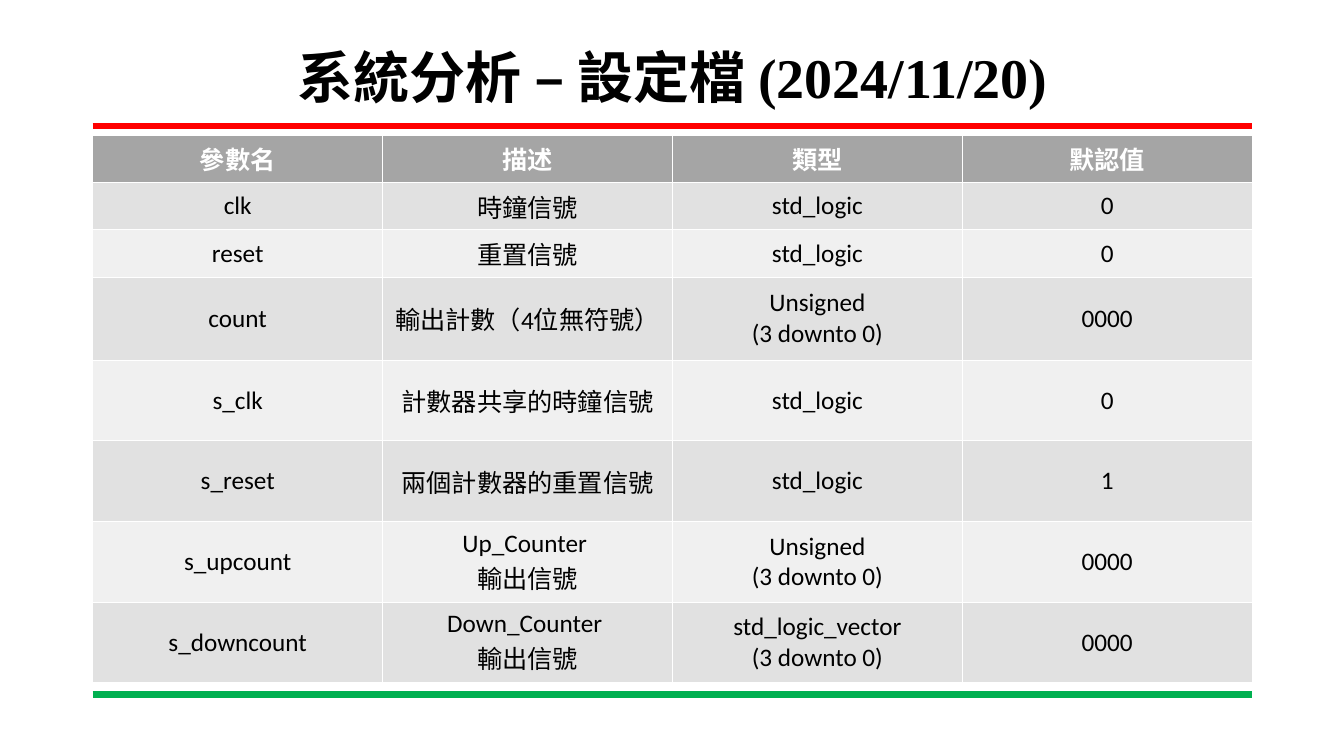
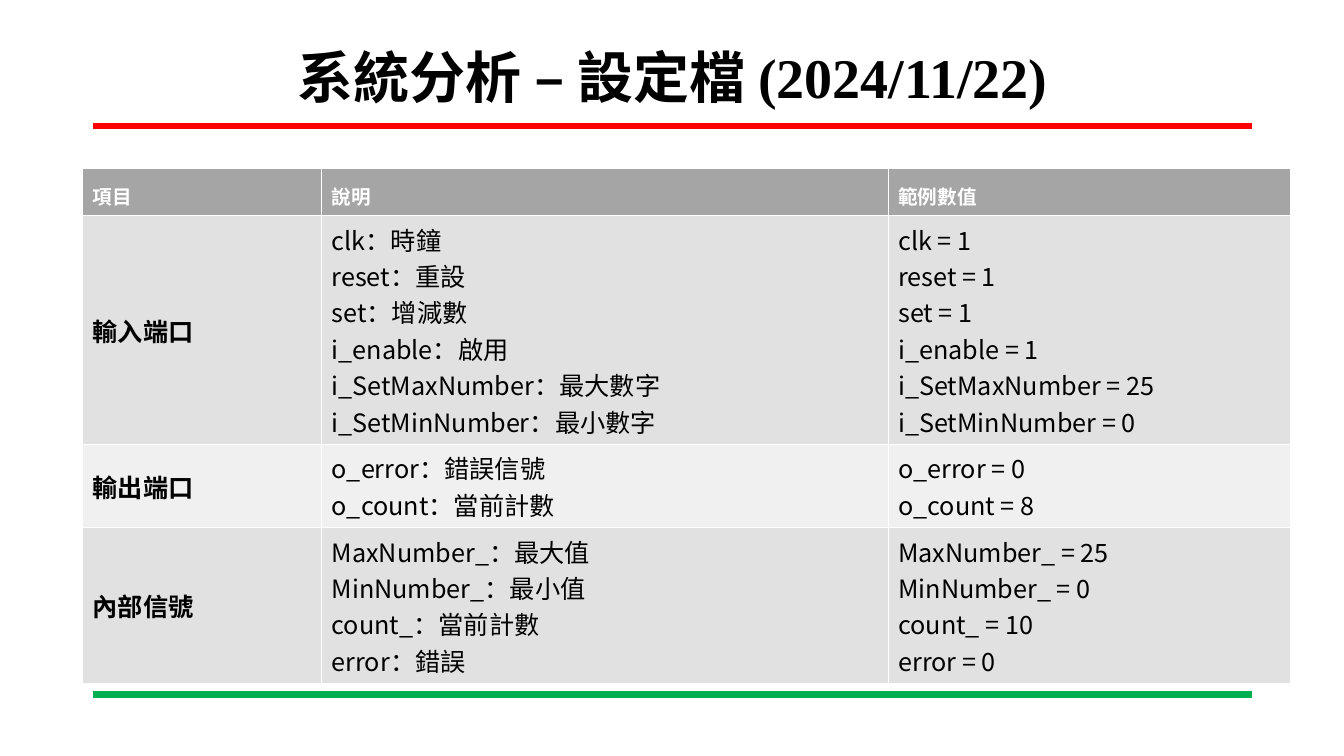
from dataclasses import dataclass

from lxml import etree
from pptx import Presentation
from pptx.dml.color import RGBColor
from pptx.enum.shapes import MSO_CONNECTOR
from pptx.enum.text import MSO_ANCHOR, MSO_AUTO_SIZE, PP_ALIGN
from pptx.oxml.ns import qn
from pptx.util import Inches, Pt

STRAIGHT = MSO_CONNECTOR.STRAIGHT
MIDDLE, BOTTOM = MSO_ANCHOR.MIDDLE, MSO_ANCHOR.BOTTOM
LEFT, CENTER = PP_ALIGN.LEFT, PP_ALIGN.CENTER
TITLE_ONLY = 5


@dataclass(frozen=True)
class Theme:
    black: str = "000000"
    white: str = "FFFFFF"
    top_rule: str = "FF0000"
    bottom_rule: str = "00B050"
    header: str = "A5A5A5"
    bands: tuple = ("E1E1E1", "F0F0F0")
    title_font: str = "Times New Roman"
    latin_font: str = "Calibri"
    cjk_font: str = "Noto Sans CJK SC"
    title_size: int = 40
    body_size: int = 18
    small_size: int = 14
    rule_width: float = 4.5


THEME = Theme()
MARGIN, CONTENT_W = 0.92, 11.5
RULES = [(1.25, THEME.top_rule), (6.89, THEME.bottom_rule)]

# In cell text, "\n" starts a paragraph and "\v" breaks a line.
PARAMETERS = [
    ("參數名", "描述", "類型", "默認值"),
    ("clk", "時鐘信號", "std_logic", "0"),
    ("reset", "重置信號", "std_logic", "0"),
    ("count", "輸出計數（4位無符號）", "Unsigned\n(3 downto 0)", "0000"),
    ("s_clk", "計數器共享的時鐘信號", "std_logic", "0"),
    ("s_reset", "兩個計數器的重置信號", "std_logic", "1"),
    ("s_upcount", "Up_Counter \n輸出信號", "Unsigned\n(3 downto 0)", "0000"),
    ("s_downcount", "Down_Counter \n輸出信號",
     "std_logic_vector\n(3 downto 0)", "0000"),
]

# Port group: (signal, meaning, sample value)
PORTS = {
    "輸入端口": [("clk", "時鐘", 1), ("reset", "重設", 1), ("set", "增減數", 1),
             ("i_enable", "啟用", 1), ("i_SetMaxNumber", "最大數字", 25),
             ("i_SetMinNumber", "最小數字", 0)],
    "輸出端口": [("o_error", "錯誤信號", 0), ("o_count", "當前計數", 8)],
    "內部信號": [("MaxNumber_", "最大值", 25), ("MinNumber_", "最小值", 0),
             ("count_", "當前計數", 10), ("error", "錯誤", 0)],
}
PORT_ROWS = [("項目", "說明", "範例數值")] + [
    (group,
     "\v".join(f"{name}：{meaning}" for name, meaning, _ in signals),
     "\v".join(f"{name} = {value}" for name, _, value in signals))
    for group, signals in PORTS.items()
]

SLIDES = [
    dict(title="系統分析 – 設定檔 (2024/11/20)", rows=PARAMETERS,
         left=MARGIN, top=1.34, widths=[CONTENT_W / 4] * 4,
         heights=[0.47] * 3 + [0.8] * 5, font=THEME.latin_font,
         align=CENTER, header_anchor=MIDDLE, header_size=THEME.body_size,
         bold_first=False),
    dict(title="系統分析 – 設定檔 (2024/11/22)", rows=PORT_ROWS,
         left=0.82, top=1.67, widths=[2.37, 5.62, 3.99],
         heights=[0.47, 2.11, 0.8, 1.45], font=THEME.cjk_font,
         align=LEFT, header_anchor=BOTTOM, header_size=THEME.small_size,
         bold_first=True),
]


def rgb(color):
    return RGBColor.from_string(color)


def format_text(tf, font, size, color, bold, align):
    for p in tf.paragraphs:
        p.alignment = align
        for r in p.runs:
            r.font.size, r.font.bold = Pt(size), bold
            r.font.color.rgb = rgb(color)
            r.font.name = font
            ea = etree.SubElement(r.font._element, qn("a:ea"))
            ea.set("typeface", THEME.cjk_font)


def add_rules(s, layout):
    """Draw the two rules and move them to the layout, so all slides share them."""
    for y, color in RULES:
        rule = s.shapes.add_connector(
            STRAIGHT, Inches(MARGIN), Inches(y),
            Inches(MARGIN + CONTENT_W), Inches(y))
        rule.line.color.rgb = rgb(color)
        rule.line.width = Pt(THEME.rule_width)
        etree.SubElement(rule.element.spPr, qn("a:effectLst"))
        layout.shapes.element.append(rule.element)


def set_title(s, text):
    title = s.shapes.title
    title.left, title.top = Inches(MARGIN), Inches(0.4)
    title.width, title.height = Inches(CONTENT_W), Inches(0.79)
    tf = title.text_frame
    tf.text = text
    tf.auto_size = MSO_AUTO_SIZE.NONE
    tf.vertical_anchor = MIDDLE
    tf.paragraphs[0].line_spacing = 0.9
    format_text(tf, THEME.title_font, THEME.title_size, THEME.black, True, CENTER)


def add_data_table(s, data):
    rows, widths, heights = data["rows"], data["widths"], data["heights"]
    table = s.shapes.add_table(
        len(rows), len(widths), Inches(data["left"]), Inches(data["top"]),
        Inches(sum(widths)), Inches(sum(heights))).table
    for column, width in zip(table.columns, widths):
        column.width = Inches(width)
    for i, (values, height) in enumerate(zip(rows, heights)):
        table.rows[i].height = Inches(height)
        header = i == 0
        fill = THEME.header if header else THEME.bands[(i - 1) % 2]
        size = data["header_size"] if header else THEME.body_size
        color = THEME.white if header else THEME.black
        for j, value in enumerate(values):
            cell = table.cell(i, j)
            cell.fill.solid()
            cell.fill.fore_color.rgb = rgb(fill)
            cell.vertical_anchor = data["header_anchor"] if header else MIDDLE
            cell.text_frame.text = value
            bold = header or (data["bold_first"] and j == 0)
            format_text(cell.text_frame, data["font"], size, color, bold,
                        data["align"])


def main():
    prs = Presentation()
    prs.slide_width, prs.slide_height = Inches(13.33), Inches(7.5)
    layout = prs.slide_layouts[TITLE_ONLY]
    for i, data in enumerate(SLIDES):
        s = prs.slides.add_slide(layout)
        if i == 0:
            add_rules(s, layout)
        set_title(s, data["title"])
        add_data_table(s, data)
    prs.save("out.pptx")


if __name__ == "__main__":
    main()
